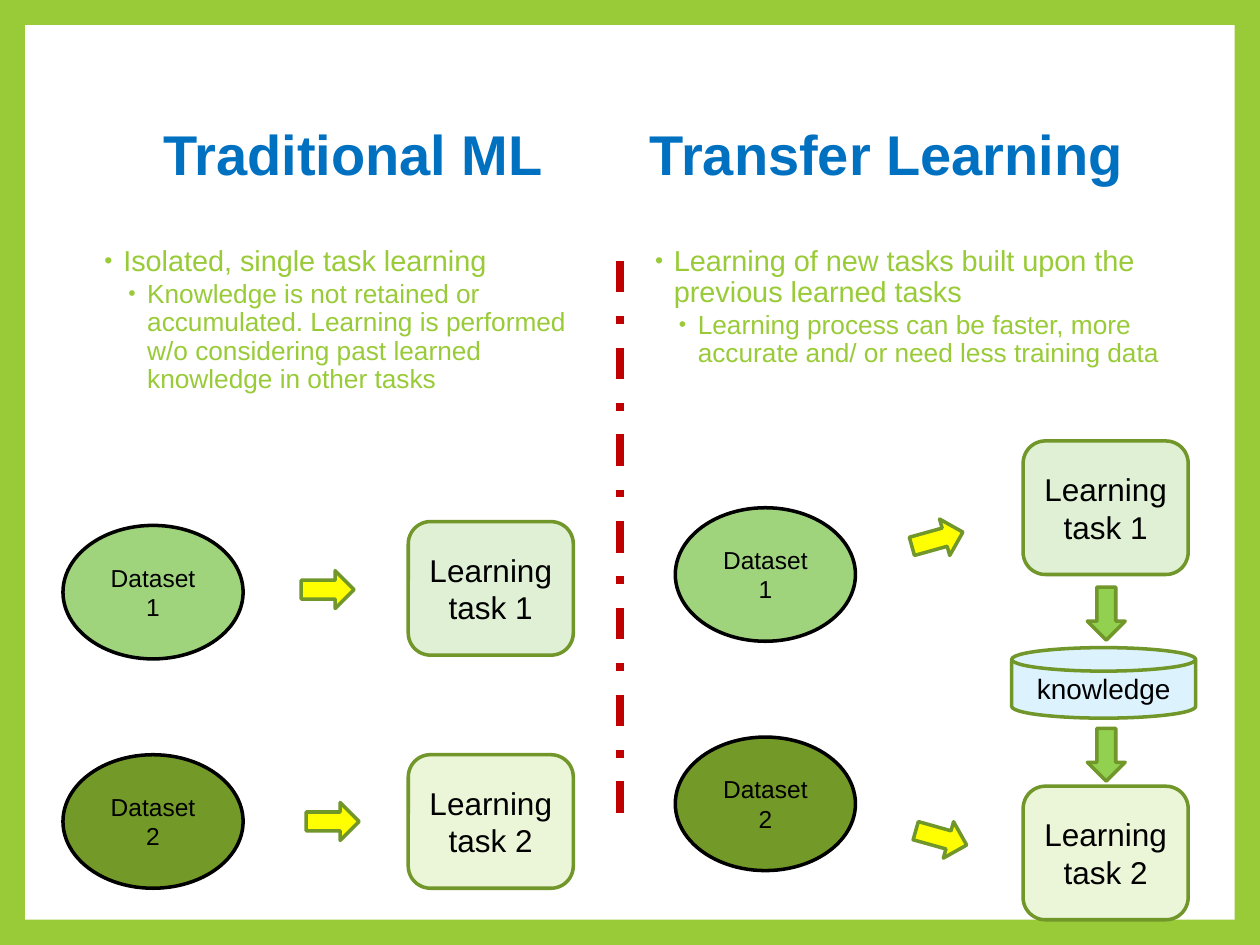
from dataclasses import dataclass

from lxml import etree
from pptx import Presentation
from pptx.dml.color import RGBColor
from pptx.enum.dml import MSO_LINE
from pptx.enum.shapes import MSO_CONNECTOR, MSO_SHAPE
from pptx.enum.text import MSO_ANCHOR, PP_ALIGN
from pptx.oxml.ns import qn
from pptx.util import Inches, Pt

RECTANGLE = MSO_SHAPE.RECTANGLE
ELLIPSE = MSO_SHAPE.OVAL
ROUNDED = MSO_SHAPE.ROUNDED_RECTANGLE
DISK = MSO_SHAPE.FLOWCHART_MAGNETIC_DISK
ARROW = MSO_SHAPE.RIGHT_ARROW
STRAIGHT = MSO_CONNECTOR.STRAIGHT
DASH_DOT = MSO_LINE.DASH_DOT
MIDDLE = MSO_ANCHOR.MIDDLE
CENTER, LEFT = PP_ALIGN.CENTER, PP_ALIGN.LEFT

FONT = "Arial"
COLORS = {
    "frame": "99CB38",
    "panel": "FFFFFF",
    "heading": "0070C0",
    "bullet": "99CB38",
    "text": "000000",
    "outline": "719629",
    "dataset 1": "9FD47D",
    "dataset 2": "739A28",
    "task 1": "DFF0D4",
    "task 2": "EBF5D7",
    "knowledge": "DCF3FE",
    "feed": "FFFF00",
    "transfer": "92D050",
    "divider": "C00000",
}


@dataclass(frozen=True)
class Column:
    left: float
    width: float
    heading: str
    align: PP_ALIGN
    point: str
    detail: str


@dataclass(frozen=True)
class Node:
    preset: MSO_SHAPE
    width: float
    height: float
    size: float
    outline: str


@dataclass(frozen=True)
class Pipeline:
    number: int
    dataset: tuple[float, float]
    task: tuple[float, float]
    arrow: tuple[float, float]
    turn: float = 0


DATASET = Node(ELLIPSE, 1.43, 1.06, 14, "text")
TASK = Node(ROUNDED, 1.31, 1.06, 18, "outline")
KNOWLEDGE = Node(DISK, 1.46, 0.56, 16, "outline")
FLOW = Node(ARROW, 0.42, 0.3, 12, "outline")

COLUMNS = [
    Column(0.69, 4.23, "Traditional ML", CENTER,
           "Isolated, single task learning",
           "Knowledge is not retained or accumulated. Learning is performed "
           "w/o considering past learned knowledge in other tasks"),
    Column(5.06, 4.25, "Transfer Learning", LEFT,
           "Learning of new tasks built upon the previous learned tasks",
           "Learning process can be faster, more accurate and/ or need less "
           "training data"),
]
PIPELINES = [
    Pipeline(1, (0.5, 4.17), (3.24, 4.14), (2.39, 4.53)),
    Pipeline(2, (0.5, 5.99), (3.24, 5.99), (2.43, 6.37)),
    Pipeline(1, (5.36, 4.03), (8.12, 3.5), (7.23, 4.13), 344.4),
    Pipeline(2, (5.36, 5.85), (8.12, 6.24), (7.26, 6.5), 15.7),
]


def rgb(name: str) -> RGBColor:
    return RGBColor.from_string(COLORS[name])


def add_run(paragraph, text: str, size: float, color: str, bold: bool = False) -> None:
    run = paragraph.add_run()
    run.text = text
    run.font.name = FONT
    run.font.size = Pt(size)
    run.font.bold = bold
    run.font.color.rgb = rgb(color)


def add_node(slide, node: Node, at: tuple[float, float], fill: str,
             label: str = "", turn: float = 0) -> None:
    shape = slide.shapes.add_shape(
        node.preset, *map(Inches, (*at, node.width, node.height)))
    shape.shadow.inherit = False
    shape.rotation = turn
    shape.fill.solid()
    shape.fill.fore_color.rgb = rgb(fill)
    shape.line.color.rgb = rgb(node.outline)
    shape.line.width = Pt(2)
    if label:
        frame = shape.text_frame
        frame.word_wrap = True
        frame.vertical_anchor = MIDDLE
        frame.paragraphs[0].alignment = CENTER
        add_run(frame.paragraphs[0], label, node.size, "text")


def add_frame(slide, column: Column, top: float, height: float):
    box = slide.shapes.add_textbox(
        *map(Inches, (column.left, top, column.width, height)))
    box.text_frame.word_wrap = True
    return box.text_frame


def format_bullet(paragraph, level: int, before: float, after: float) -> None:
    paragraph.level = level
    paragraph.line_spacing = 0.9
    paragraph.space_before = Pt(before)
    paragraph.space_after = Pt(after)
    properties = paragraph._p.get_or_add_pPr()
    properties.set("marL", str(Inches(0.19 * (level + 1))))
    properties.set("indent", str(Inches(-0.15)))
    color = etree.SubElement(properties, qn("a:buClr"))
    etree.SubElement(color, qn("a:srgbClr"), val=COLORS["bullet"])
    etree.SubElement(properties, qn("a:buSzPct"), val="80000")
    etree.SubElement(properties, qn("a:buFont"), typeface=FONT)
    etree.SubElement(properties, qn("a:buChar"), char="•")


def add_column(slide, column: Column) -> None:
    heading_frame = add_frame(slide, column, 0.8, 0.9)
    heading_frame.vertical_anchor = MIDDLE
    heading = heading_frame.paragraphs[0]
    heading.alignment = column.align
    heading.line_spacing = 0.9
    add_run(heading, column.heading, 32, "heading", bold=True)

    body = add_frame(slide, column, 1.91, 4.85)
    point = body.paragraphs[0]
    format_bullet(point, 0, 10, 0)
    add_run(point, column.point, 16.5, "bullet")
    detail = body.add_paragraph()
    format_bullet(detail, 1, 1.5, 3)
    add_run(detail, column.detail, 15, "bullet")


def add_pipeline(slide, pipeline: Pipeline) -> None:
    number = pipeline.number
    add_node(slide, DATASET, pipeline.dataset, f"dataset {number}", f"Dataset {number}")
    add_node(slide, TASK, pipeline.task, f"task {number}", f"Learning task {number}")
    add_node(slide, FLOW, pipeline.arrow, "feed", turn=pipeline.turn)


def add_divider(slide) -> None:
    divider = slide.shapes.add_connector(
        STRAIGHT, *map(Inches, (4.92, 2.07, 4.92, 6.45)))
    divider.line.color.rgb = rgb("divider")
    divider.line.width = Pt(4.5)
    divider.line.dash_style = DASH_DOT
    etree.SubElement(divider._element.spPr, qn("a:effectLst"))


def main() -> None:
    deck = Presentation()
    deck.slide_width, deck.slide_height = Inches(10), Inches(7.5)
    slide = deck.slides.add_slide(deck.slide_layouts[6])
    slide.background.fill.solid()
    slide.background.fill.fore_color.rgb = rgb("frame")

    panel = slide.shapes.add_shape(RECTANGLE, *map(Inches, (0.2, 0.2, 9.6, 7.1)))
    panel.shadow.inherit = False
    panel.fill.solid()
    panel.fill.fore_color.rgb = rgb("panel")
    panel.line.fill.background()

    for column in COLUMNS:
        add_column(slide, column)
    for pipeline in PIPELINES:
        add_pipeline(slide, pipeline)
    add_node(slide, KNOWLEDGE, (8.03, 5.14), "knowledge", "knowledge")
    for top in (4.72, 5.84):
        add_node(slide, FLOW, (8.57, top), "transfer", turn=90)
    add_divider(slide)
    deck.save("out.pptx")


if __name__ == "__main__":
    main()
